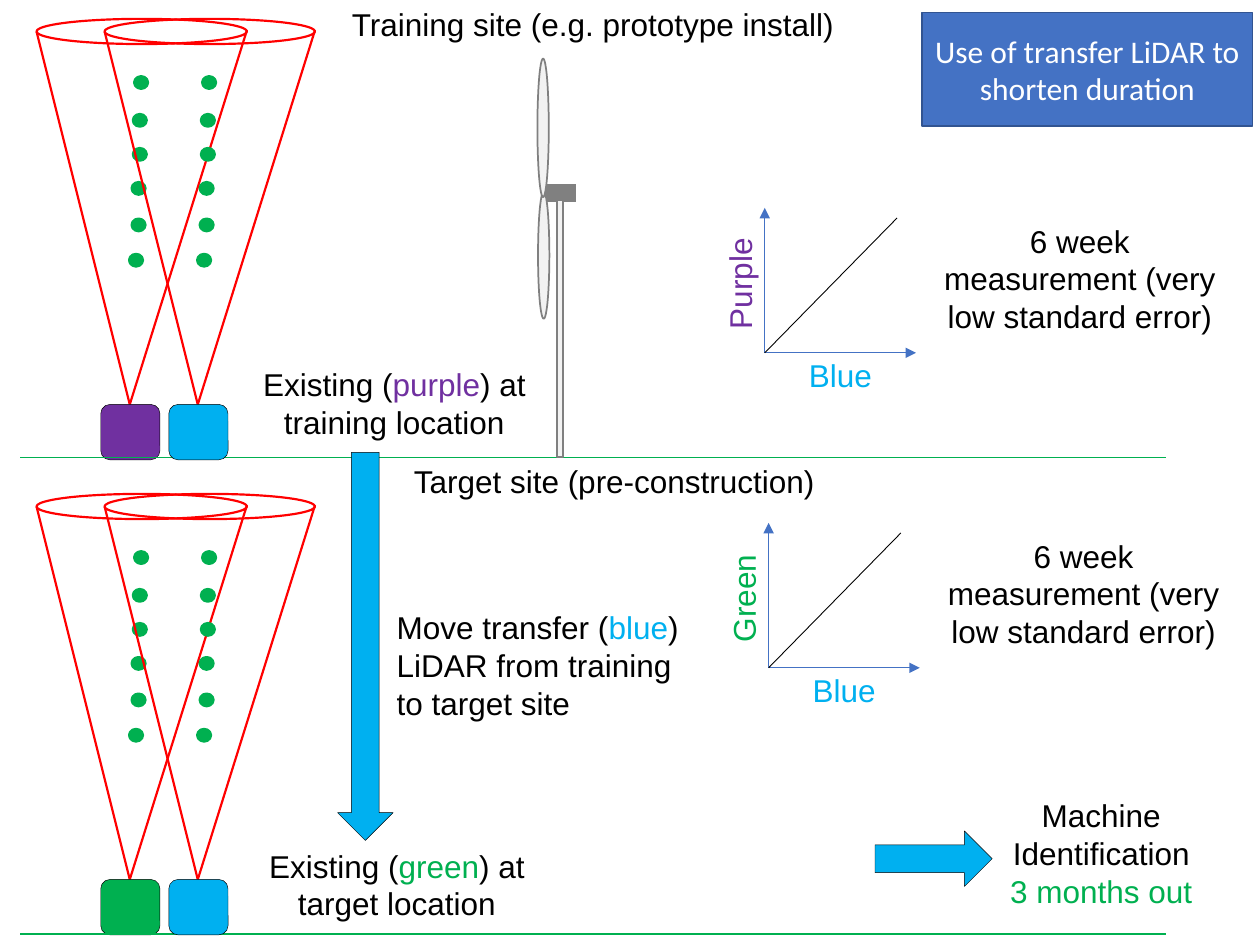
from lxml import etree
from pptx import Presentation
from pptx.dml.color import RGBColor
from pptx.enum.shapes import MSO_CONNECTOR, MSO_SHAPE
from pptx.enum.text import MSO_ANCHOR, MSO_AUTO_SIZE, PP_ALIGN
from pptx.oxml.ns import qn
from pptx.util import Inches, Pt

ELLIPSE, RECTANGLE = MSO_SHAPE.OVAL, MSO_SHAPE.RECTANGLE
ROUNDED, DOWN_ARROW = MSO_SHAPE.ROUNDED_RECTANGLE, MSO_SHAPE.DOWN_ARROW
STRAIGHT = MSO_CONNECTOR.STRAIGHT
LEFT, CENTER = PP_ALIGN.LEFT, PP_ALIGN.CENTER

BLACK, WHITE, RED, GREEN = "000000", "FFFFFF", "FF0000", "00B050"
BLUE, PURPLE, AXIS_BLUE, EDGE_BLUE = "00B0F0", "7030A0", "4472C4", "325491"
GREY, PALE = "808080", "F2F2F2"

TITLE = "Use of transfer LiDAR to shorten duration"
NOTE = "6 week measurement (very low standard error)"

# Each site: vertical shift, colour of the existing LiDAR
SITES = [(0, PURPLE), (3.77, GREEN)]
TRANSFER_SHIFT = 0.54
GROUND_Y = [3.63, 7.41]
DOTS = [(1.07, 0.61), (1.06, 0.91), (1.06, 1.18), (1.05, 1.45), (1.05, 1.74), (1.03, 2.02)]

# Each plot: origin, name and colour of the vertical axis
PLOTS = [(6.07, 2.8, "Purple", PURPLE), (6.1, 5.3, "Green", GREEN)]

# Each label: box, alignment, paragraphs of (text, colour) runs
LABELS = [
    ((7.48, 6.27, 2.52, 1.01), CENTER,
     [[("Machine Identification", BLACK)], [("3 months out", GREEN)]]),
    ((2.26, -0.01, 4.89, 0.4), CENTER, [[("Training site (e.g. prototype install)", BLACK)]]),
    ((2.43, 3.62, 4.89, 0.4), CENTER, [[("Target site (pre-construction)", BLACK)]]),
    ((1.93, 2.85, 2.4, 0.71), CENTER,
     [[("Existing (", BLACK), ("purple", PURPLE), (") at training location", BLACK)]]),
    ((1.95, 6.67, 2.4, 0.71), CENTER,
     [[("Existing (", BLACK), ("green", GREEN), (") at target location", BLACK)]]),
    ((3.05, 4.78, 2.52, 1.01), LEFT,
     [[("Move transfer (", BLACK), ("blue", BLUE),
       (") LiDAR from training to target site", BLACK)]]),
]
# Each arrow: box, rotation
ARROWS = [((2.68, 3.59, 0.44, 3.08), 0), ((7.19, 6.35, 0.44, 0.93), 270)]


def rgb(value):
    return RGBColor.from_string(value)


def add_shape(shapes, kind, box, fill, line, width, rotation=0):
    shape = shapes.add_shape(kind, *map(Inches, box))
    shape.shadow.inherit = False
    shape.rotation = rotation
    if fill:
        shape.fill.solid()
        shape.fill.fore_color.rgb = rgb(fill)
    else:
        shape.fill.background()
    shape.line.color.rgb = rgb(line)
    shape.line.width = Pt(width)


def add_line(shapes, start, end, color, width, arrow=False):
    connector = shapes.add_connector(STRAIGHT, *map(Inches, start + end))
    connector.line.color.rgb = rgb(color)
    connector.line.width = Pt(width)
    if arrow:
        outline = connector.line._get_or_add_ln()
        etree.SubElement(outline, qn("a:tailEnd"), type="triangle")
    etree.SubElement(connector._element.spPr, qn("a:effectLst"))


def write(frame, paragraphs, alignment=CENTER, font="Arial"):
    frame.word_wrap = True
    for index, runs in enumerate(paragraphs):
        paragraph = frame.add_paragraph() if index else frame.paragraphs[0]
        paragraph.alignment = alignment
        for text, color in runs:
            run = paragraph.add_run()
            run.text = text
            run.font.name = font
            run.font.size = Pt(18)
            run.font.color.rgb = rgb(color)


def add_text(shapes, box, paragraphs, alignment=CENTER, rotation=0):
    text_box = shapes.add_textbox(*map(Inches, box))
    text_box.rotation = rotation
    write(text_box.text_frame, paragraphs, alignment)


def add_lidar(shapes, dx, dy, color):
    """One LiDAR unit with its scanning cone and measurement heights."""
    for x, y in DOTS:
        add_shape(shapes, ELLIPSE, (x + dx, y + dy, 0.1, 0.09), GREEN, GREEN, 2)
    apex = (1.03 + dx, 3.21 + dy)
    add_line(shapes, apex, (1.96 + dx, 0.24 + dy), RED, 1.25)
    add_shape(shapes, ELLIPSE, (0.29 + dx, 0.15 + dy, 1.67, 0.2), None, RED, 1.25)
    add_line(shapes, apex, (0.29 + dx, 0.25 + dy), RED, 1.25)
    add_shape(shapes, ROUNDED, (0.8 + dx, 3.21 + dy, 0.47, 0.44), color, BLACK, 0.25)


def add_turbine(slide):
    shapes = slide.shapes.add_group_shape().shapes
    add_line(shapes, (4.57, 1.53), (4.32, 1.53), GREY, 10)
    add_shape(shapes, ELLIPSE, (3.81, 1.98, 1.01, 0.09), PALE, GREY, 1, 90)
    add_shape(shapes, RECTANGLE, (4.42, 1.59, 0.05, 2.04), PALE, GREY, 1)
    add_shape(shapes, ELLIPSE, (3.76, 0.97, 1.1, 0.09), PALE, GREY, 1, 90)


def add_plot(shapes, x, y, name, color):
    """Sketch of a correlation between the two LiDARs, with its note."""
    add_line(shapes, (x, y), (x, y - 1.15), AXIS_BLUE, 0.5, arrow=True)
    add_line(shapes, (x, y), (x + 1.2, y), AXIS_BLUE, 0.5, arrow=True)
    add_line(shapes, (x, y), (x + 1.05, y - 1.07), BLACK, 0.5)
    add_text(shapes, (x, y - 0.02, 1.2, 0.4), [[("Blue", BLUE)]])
    add_text(shapes, (x - 0.8, y - 0.75, 1.2, 0.4), [[(name, color)]], rotation=270)
    add_text(shapes, (x + 1.28, y - 1.09, 2.44, 1.01), [[(NOTE, BLACK)]])


def add_title(slide):
    title = slide.shapes.title
    title.left, title.top, title.width, title.height = map(Inches, (7.32, 0.1, 2.62, 0.9))
    title.fill.solid()
    title.fill.fore_color.rgb = rgb(AXIS_BLUE)
    title.line.color.rgb = rgb(EDGE_BLUE)
    title.line.width = Pt(1)
    write(title.text_frame, [[(TITLE, WHITE)]], font="Calibri")
    title.text_frame.auto_size = MSO_AUTO_SIZE.NONE
    title.text_frame.vertical_anchor = MSO_ANCHOR.MIDDLE


def main():
    presentation = Presentation()
    presentation.slide_width, presentation.slide_height = Inches(10), Inches(7.5)
    slide = presentation.slides.add_slide(presentation.slide_layouts[5])
    shapes = slide.shapes
    add_title(slide)

    for (dy, color), ground in zip(SITES, GROUND_Y):
        add_lidar(shapes, 0, dy, color)
        add_line(shapes, (0.16, ground), (9.25, ground), GREEN, 1)
        add_lidar(shapes, TRANSFER_SHIFT, dy, BLUE)
    add_turbine(slide)
    for plot in PLOTS:
        add_plot(shapes, *plot)
    for box, alignment, paragraphs in LABELS:
        add_text(shapes, box, paragraphs, alignment)
    for box, rotation in ARROWS:
        add_shape(shapes, DOWN_ARROW, box, BLUE, BLACK, 0.25, rotation)

    presentation.save("out.pptx")


if __name__ == "__main__":
    main()
